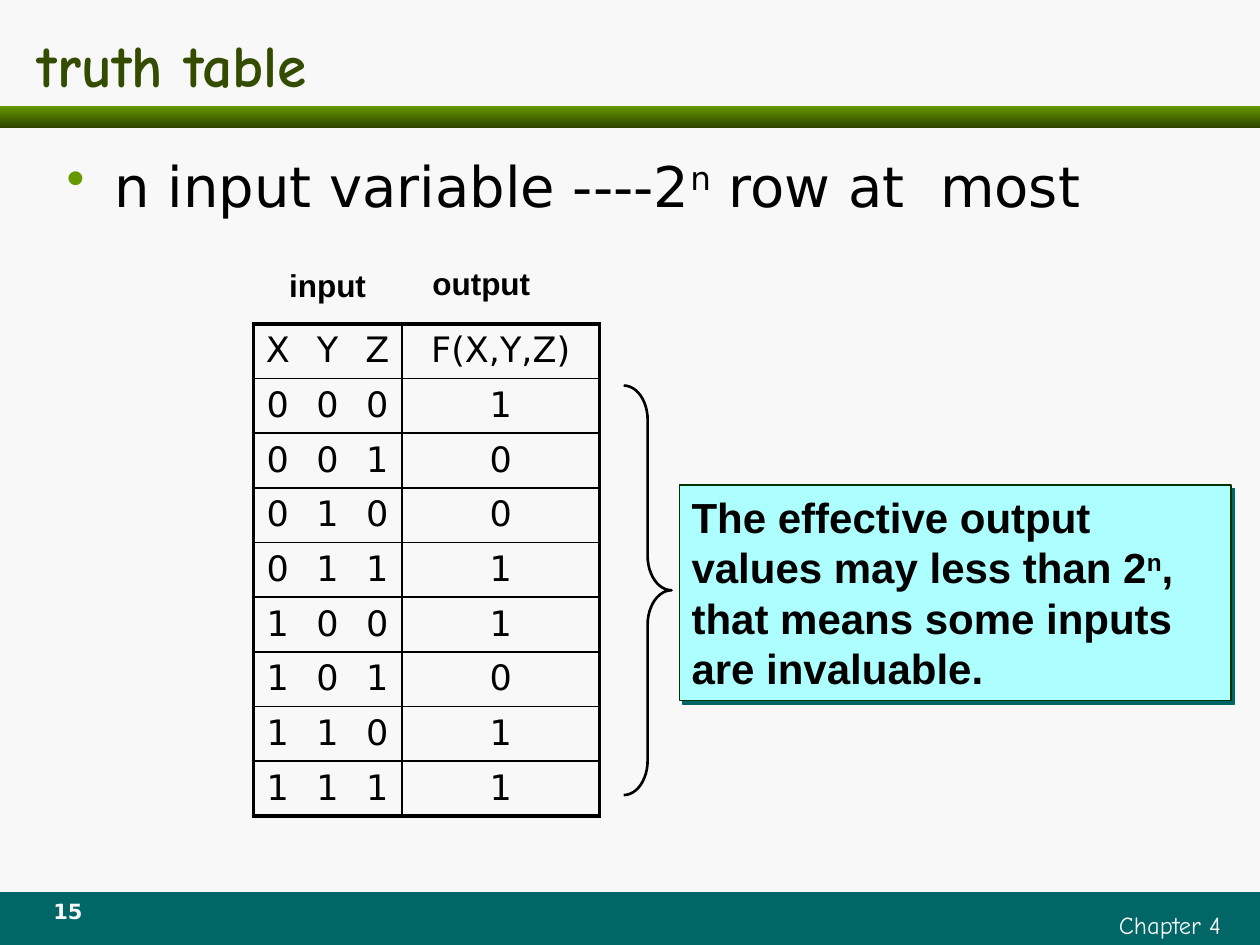
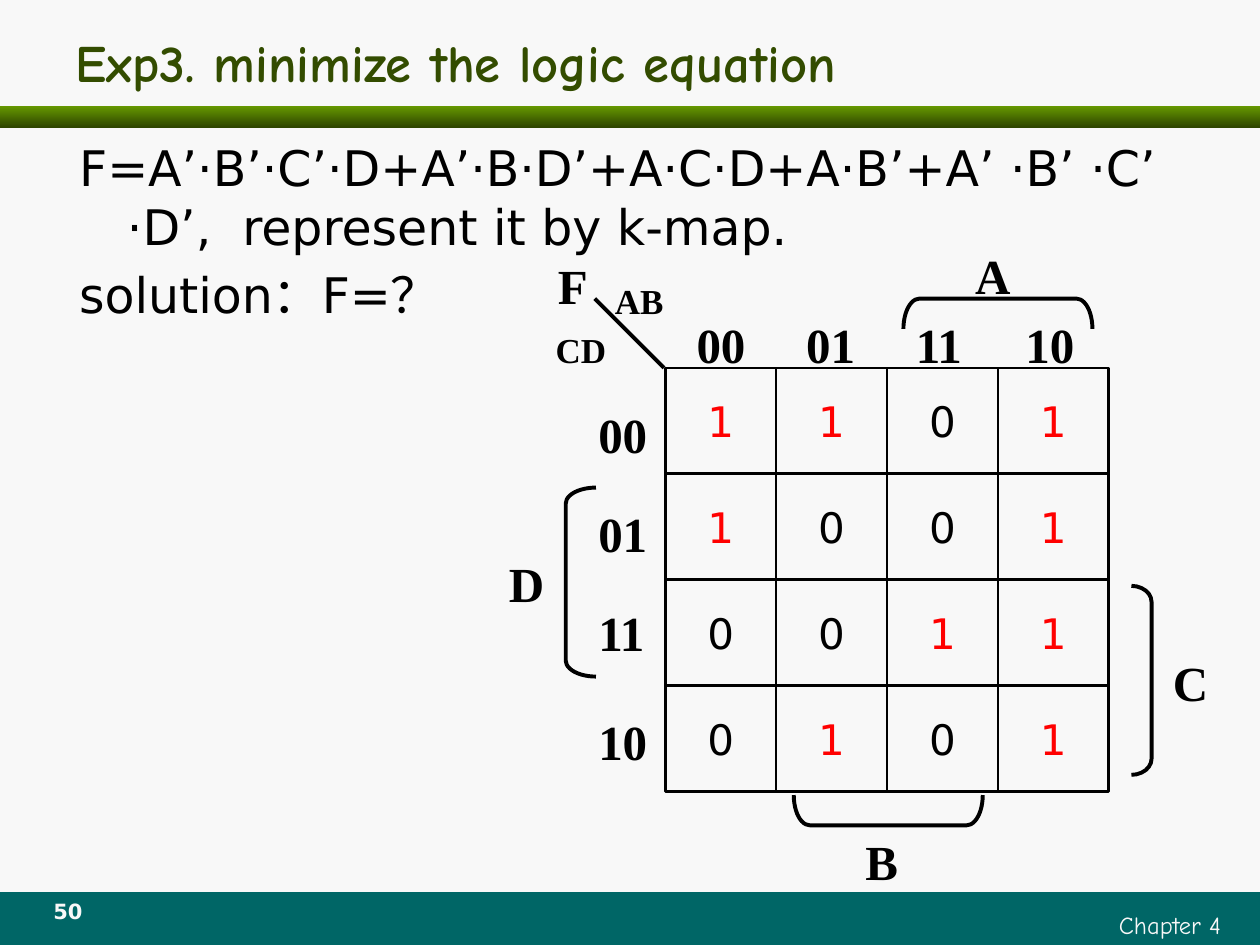
from lxml.etree import SubElement
from pptx import Presentation
from pptx.dml.color import RGBColor
from pptx.enum.shapes import MSO_CONNECTOR, MSO_SHAPE
from pptx.enum.text import MSO_ANCHOR, PP_ALIGN
from pptx.oxml.ns import qn
from pptx.util import Inches, Pt

PAPER, TEAL, GREEN, DARK_GREEN = "F8F8F8", "006666", "669900", "2F4600"
TITLE_GREEN, BLACK, RED = "334C00", "000000", "FF0000"
CALLOUT_FILL, CALLOUT_LINE = "ADFFFF", "003300"
HAND, BODY, SANS, SERIF = "Comic Neue", "DejaVu Sans", "Arial", "Times New Roman"
TITLE_ONLY = 5


def color(hex_string):
    return RGBColor.from_string(hex_string)


def add_solid(parent, hex_string):
    fill = SubElement(parent, qn("a:solidFill"))
    SubElement(fill, qn("a:srgbClr"), val=hex_string)


class SlideBuilder:
    """Holds the deck style and the slide being built."""

    def __init__(self):
        self.deck = Presentation()
        self.deck.slide_width, self.deck.slide_height = Inches(10), Inches(7.5)
        background = self.deck.slide_master.background.fill
        background.solid()
        background.fore_color.rgb = color(PAPER)
        self.page = None

    def start(self, title, at, size, number):
        """Add a slide with its title, bands and footer."""
        layout = self.deck.slide_layouts[TITLE_ONLY]
        self.page = self.deck.slides.add_slide(layout)
        holder = self.page.shapes.title
        holder.left, holder.top, holder.width, holder.height = map(Inches, at)
        self.set_text(holder, [title], size, HAND, TITLE_GREEN, bold=True,
                      anchor=MSO_ANCHOR.MIDDLE)

        self.shape(MSO_SHAPE.RECTANGLE, (0, 7.08, 10, 0.42), fill=TEAL)
        band = self.shape(MSO_SHAPE.RECTANGLE, (0, 0.84, 10, 0.17))
        band.fill.gradient()
        band.fill.gradient_angle = 270
        for stop, shade in zip(band.fill.gradient_stops, (GREEN, DARK_GREEN)):
            stop.color.rgb = color(shade)

        self.text(["Chapter 4"], (5.79, 7.17, 4, 0.33), 14, HAND, PAPER,
                  align=PP_ALIGN.RIGHT)
        self.text([number], (0.25, 7.08, 0.58, 0.33), 12, BODY, PAPER,
                  bold=True, align=PP_ALIGN.CENTER)

    def set_text(self, holder, lines, size, font, ink=BLACK, bold=False,
                 align=PP_ALIGN.LEFT, anchor=MSO_ANCHOR.TOP):
        """Fill a text holder; in a line, ^ marks switch superscript on and off."""
        frame = holder.text_frame
        frame.word_wrap = True
        frame.vertical_anchor = anchor
        for index, line in enumerate(lines):
            para = frame.add_paragraph() if index else frame.paragraphs[0]
            para.alignment = align
            if index:
                para.space_before = Pt(size * 0.2)
            for part, words in enumerate(line.split("^")):
                span = para.add_run()
                span.text = words
                span.font.size, span.font.name = Pt(size), font
                span.font.bold = bold
                span.font.color.rgb = color(ink)
                if part % 2:
                    span._r.get_or_add_rPr().set("baseline", "30000")
        return holder

    def text(self, lines, at, *style, inset=True, **options):
        box = self.page.shapes.add_textbox(*map(Inches, at))
        if not inset:
            frame = box.text_frame
            frame.margin_left = frame.margin_right = 0
            frame.margin_top = frame.margin_bottom = 0
        return self.set_text(box, lines, *style, **options)

    def body(self, lines, at, size, bullet=False):
        box = self.text(lines, at, size, BODY)
        for para in box.text_frame.paragraphs:
            props = para._p.get_or_add_pPr()
            props.set("marL", str(Inches(0.38)))
            props.set("indent", str(Inches(-0.38)))
            if bullet:
                tint = SubElement(props, qn("a:buClr"))
                SubElement(tint, qn("a:srgbClr"), val=GREEN)
                SubElement(props, qn("a:buSzPct"), val="95000")
                SubElement(props, qn("a:buChar"), char="•")

    def shape(self, kind, at, fill=None, line=None, width=1.5, adjust=(), turn=0):
        item = self.page.shapes.add_shape(kind, *map(Inches, at))
        item.shadow.inherit = False
        item.rotation = turn
        for index, value in enumerate(adjust):
            item.adjustments[index] = value
        if fill:
            item.fill.solid()
            item.fill.fore_color.rgb = color(fill)
        else:
            item.fill.background()
        if line:
            item.line.color.rgb = color(line)
            item.line.width = Pt(width)
        else:
            item.line.fill.background()
        return item

    def line(self, start, end, width):
        rule = self.page.shapes.add_connector(
            MSO_CONNECTOR.STRAIGHT, *map(Inches, start + end))
        rule.line.color.rgb = color(BLACK)
        rule.line.width = Pt(width)
        SubElement(rule._element.spPr, qn("a:effectLst"))

    def callout(self, words, at):
        box = self.shape(MSO_SHAPE.RECTANGLE, at, CALLOUT_FILL, CALLOUT_LINE, 0.75)
        self.set_text(box, [words], 24, SANS, bold=True)
        effects = box._element.spPr.find(qn("a:effectLst"))
        shadow = SubElement(effects, qn("a:outerShdw"), blurRad="0",
                            dist=str(Pt(2.8)), dir="2700000", algn="ctr",
                            rotWithShape="0")
        SubElement(shadow, qn("a:srgbClr"), val=TEAL)

    def table(self, rows, left, top, widths, height):
        last_row, last_column = len(rows) - 1, len(widths) - 1
        grid = self.page.shapes.add_table(
            len(rows), len(widths), Inches(left), Inches(top),
            Inches(sum(widths)), Inches(height * len(rows))).table
        grid.first_row = grid.horz_banding = False
        for column, width in zip(grid.columns, widths):
            column.width = Inches(width)
        for r, values in enumerate(rows):
            grid.rows[r].height = Inches(height)
            for c, value in enumerate(values):
                cell = grid.cell(r, c)
                cell.margin_left = cell.margin_right = Inches(0.05)
                self.set_text(cell, [value], 20, BODY, align=PP_ALIGN.CENTER)
                # Thick frame, thin rows, one divider before the output column
                self.borders(cell, {
                    "L": 2.25 if c == 0 else 1 if c == last_column else 0,
                    "R": 2.25 if c == last_column else 1 if c == last_column - 1 else 0,
                    "T": 2.25 if r == 0 else 1,
                    "B": 2.25 if r == last_row else 1})
                cell.fill.background()

    def borders(self, cell, widths):
        props = cell._tc.get_or_add_tcPr()
        for side, width in widths.items():
            edge = SubElement(props, qn(f"a:ln{side}"), w=str(Pt(width)))
            if width:
                add_solid(edge, BLACK)
            else:
                SubElement(edge, qn("a:noFill"))


def truth_table(slide):
    slide.start("truth table", (0.2, 0.17, 9.55, 0.67), 34, "15")
    slide.body(["n input variable ----2^n^ row at  most"],
               (0.43, 1.15, 9.14, 0.98), 32, bullet=True)

    # Table of every input combination
    outputs = "10011011"
    rows = [["X", "Y", "Z", "F(X,Y,Z)"]]
    rows += [[*f"{i:03b}", output] for i, output in enumerate(outputs)]
    slide.table(rows, 2.01, 2.57, (0.39, 0.4, 0.39, 1.57), 0.42)
    for heading, at in (("input", (2.01, 2.06, 1.18, 0.4)),
                        ("output", (3.31, 2.05, 1.02, 0.4))):
        slide.text([heading], at, 18, SANS, bold=True, align=PP_ALIGN.CENTER)

    # Remark on the output column
    slide.shape(MSO_SHAPE.RIGHT_BRACE, (4.95, 3.06, 0.38, 3.25), line=BLACK,
                adjust=(0.72, 0.5))
    slide.callout("The effective output values may less than 2^n^, "
                  "that means some inputs are invaluable.",
                  (5.39, 3.85, 4.38, 1.71))


def karnaugh_map(slide):
    slide.start("Exp3. minimize the logic equation", (0.5, 0.21, 9, 0.55), 30, "50")
    slide.body(["F=A’·B’·C’·D+A’·B·D’+A·C·D+A·B’+A’ ·B’ ·C’ ·D’,  "
                "represent it by k-map.", "solution：F=？"],
               (0.53, 1.04, 9, 1.88), 28)

    # Cells of the map, ones in red
    left, top, width, height = 5.28, 2.92, 0.88, 0.84
    for r, values in enumerate(("1101", "1001", "0011", "0101")):
        for c, value in enumerate(values):
            cell = slide.shape(
                MSO_SHAPE.RECTANGLE,
                (left + c * width, top + r * height, width, height), line=BLACK)
            slide.set_text(cell, [value], 24, BODY, RED if value == "1" else BLACK,
                           align=PP_ALIGN.CENTER, anchor=MSO_ANCHOR.MIDDLE)

    # Gray codes along both sides, then the variable names
    codes = ("00", "01", "11", "10")
    labels = [(code, 5.43 + i * 0.87, 2.45) for i, code in enumerate(codes)]
    labels += [(code, 4.65, y) for code, y in zip(codes, (3.16, 3.95, 4.73, 5.6))]
    labels += [("F", 4.33, 1.98), ("A", 7.64, 1.9), ("B", 6.77, 6.55),
               ("C", 9.21, 5.13), ("D", 3.94, 4.34)]
    for label, x, y in labels:
        slide.text([label], (x, y, 0.63, 0.57), 28, SERIF, bold=True)

    # Corner with the axis names
    slide.line((5.27, 2.92), (4.72, 2.37), 2.25)
    for axis, x, y in (("AB", 4.88, 2.22), ("CD", 4.41, 2.61)):
        slide.text([axis], (x, y, 0.55, 0.33), 20, SERIF, bold=True, inset=False)

    # Brackets for A, B, C and D
    slide.shape(MSO_SHAPE.RIGHT_BRACKET, (8.98, 4.65, 0.16, 1.5), line=BLACK,
                width=2.25, adjust=(0.8,))
    for x, y, turn in ((4.49, 3.87, 0), (6.93, 5.68, 270), (7.8, 1.74, 90)):
        slide.shape(MSO_SHAPE.LEFT_BRACKET, (x, y, 0.24, 1.5), line=BLACK,
                    width=2.25, adjust=(0.53,), turn=turn)


def main():
    slide = SlideBuilder()
    truth_table(slide)
    karnaugh_map(slide)
    slide.deck.save("out.pptx")


if __name__ == "__main__":
    main()
